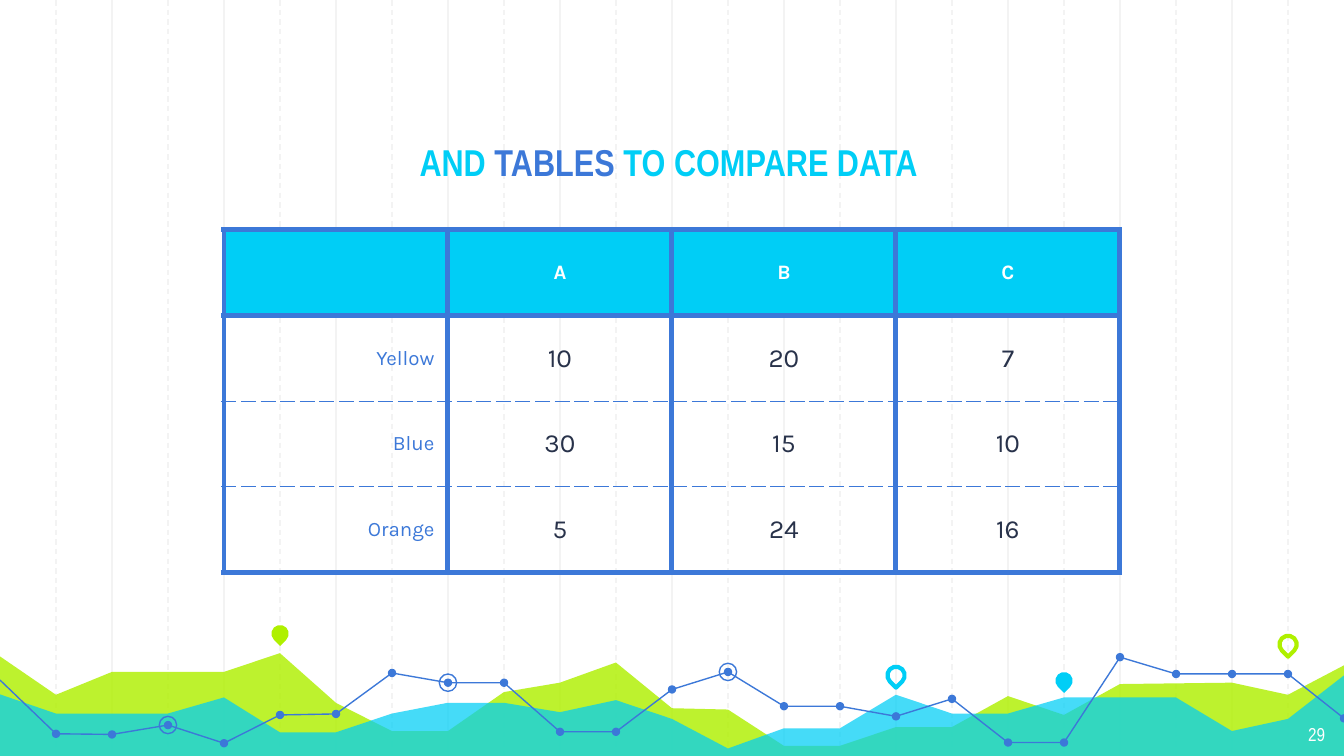
import pptx
import pptx.util
import pptx.dml.color
import pptx.enum.dml
import pptx.enum.shapes
import pptx.enum.text
import pptx.oxml
import pptx.oxml.ns
from lxml import etree

Pt = pptx.util.Pt
Inches = pptx.util.Inches
qn = pptx.oxml.ns.qn
Shape = pptx.enum.shapes.MSO_SHAPE
Align = pptx.enum.text.PP_ALIGN
Anchor = pptx.enum.text.MSO_ANCHOR
DASH = pptx.enum.dml.MSO_LINE.DASH

WIDE, HIGH = 10, 5.625
COLS, ROWS = 24, 45
HEX = {"white": "FFFFFF", "grid": "F3F3F3", "lime": "AFF000",
       "cyan": "00CEF6", "blue": "3C78D8", "ink": "28324A"}

# Column and row of each point
LIME = [(-.05, 38.96), (1, 41.36), (2, 40), (4, 40), (5, 38.88), (6, 41.84),
        (7, 43.52), (8, 43.52), (9, 41.2), (10, 40.64), (11, 39.44),
        (12, 42.16), (13, 42.24), (14, 44.4), (15, 44.4), (16, 43.28),
        (17, 43.28), (18, 41.44), (19, 42.56), (20, 40.72), (22, 40.64),
        (23, 41.36), (24.05, 39.52)]
CYAN = [(-.05, 41.28), (1, 42.48), (3, 42.48), (4, 41.52), (5, 43.6),
        (6, 43.6), (7, 42.48), (8, 41.84), (9, 41.84), (10, 42.4),
        (11, 41.68), (12, 42.8), (13, 44.56), (14, 43.36), (15, 43.36),
        (16, 41.36), (17, 42.48), (18, 42.48), (19, 41.52), (21, 41.52),
        (22, 43.52), (23, 42.8), (24.05, 40.08)]
TREND = list(enumerate([
    40.48, 43.68, 43.72, 43.16, 44.24, 42.56, 42.5, 40.06, 40.64, 40.64,
    43.56, 43.56, 41.04, 40, 42.04, 42.04, 42.64, 41.6, 44.2, 44.2,
    39.12, 40.12, 40.12, 40.12, 42.76]))
PINS = [(5, 37.72, "lime", True), (16, 40.2, "cyan", False),
        (19, 40.52, "cyan", True), (23, 38.36, "lime", False)]
DATA = [["", "A", "B", "C"], ["Yellow", "10", "20", "7"],
        ["Blue", "30", "15", "10"], ["Orange", "5", "24", "16"]]


def col(n):
    return Inches(n * WIDE / COLS)


def row(n):
    return Inches(n * HIGH / ROWS)


def rgb(name):
    return pptx.dml.color.RGBColor.from_string(HEX[name])


def write(para, text, size=11, face="Karla", color="blue", bold=False,
          align=Align.CENTER):
    para.alignment = align
    run = para.add_run()
    run.text = text
    font = run.font
    font.size, font.name, font.bold = Pt(size), face, bold
    font.color.rgb = rgb(color)


class Deck:
    def __init__(self):
        self.show = pptx.Presentation()
        self.show.slide_width = Inches(WIDE)
        self.show.slide_height = Inches(HIGH)
        self.slide = self.show.slides.add_slide(self.show.slide_layouts[5])
        self.shapes = self.slide.shapes

    def paint(self, shape, fill=None, line=None, width=0.75, alpha=None):
        shape.shadow.inherit = False
        if fill:
            shape.fill.solid()
            shape.fill.fore_color.rgb = rgb(fill)
        else:
            shape.fill.background()
        if alpha:
            tint = next(shape.element.spPr.iter(qn("a:srgbClr")))
            etree.SubElement(tint, qn("a:alpha"), val=str(alpha * 1000))
        if line:
            shape.line.color.rgb = rgb(line)
            shape.line.width = Pt(width)
        else:
            shape.line.fill.background()

    def rule(self, x, dash):
        line = self.shapes.add_connector(
            pptx.enum.shapes.MSO_CONNECTOR.STRAIGHT,
            col(x), 0, col(x), row(ROWS))
        line.line.color.rgb = rgb("grid")
        line.line.width = Pt(0.75)
        if dash:
            line.line.dash_style = DASH
        etree.SubElement(line.element.spPr, qn("a:effectLst"))

    def trace(self, points, close=False, **style):
        spots = [(col(x), row(y)) for x, y in points]
        pen = self.shapes.build_freeform(*spots[0], scale=1.0)
        pen.add_line_segments(spots[1:], close=close)
        self.paint(pen.convert_to_shape(), **style)

    def area(self, points, color, alpha):
        base = [(24.05, 45.15), (-.05, 45.15)]
        self.trace(points + base, close=True, fill=color, alpha=alpha)

    def mark(self, kind, x, y, size, turn=0, **style):
        side = col(size)
        shape = self.shapes.add_shape(
            kind, col(x) - side // 2, row(y) - side // 2, side, side)
        shape.rotation = turn
        self.paint(shape, **style)

    def frame(self, box, left, top, width, height, anchor):
        box.left, box.top = col(left), row(top)
        box.width, box.height = col(width), row(height)
        text = box.text_frame
        text.word_wrap = True
        text.auto_size = pptx.enum.text.MSO_AUTO_SIZE.NONE
        text.vertical_anchor = anchor
        text.margin_left = text.margin_right = Inches(0.1)
        text.margin_top = text.margin_bottom = Inches(0.1)
        return text.paragraphs[0]

    def title(self, parts):
        box = self.shapes.title
        self.shapes.element.append(box.element)  # in front of the backdrop
        para = self.frame(box, 2.76, 5.52, 18.36, 6.24, Anchor.BOTTOM)
        for text, color in parts:
            write(para, text, size=20, face="Arial Narrow", color=color,
                  bold=True)

    def number(self, text):
        box = self.shapes.add_textbox(0, 0, 0, 0)
        para = self.frame(box, 22.46, 42.24, 1.44, 2.8, Anchor.TOP)
        write(para, text, size=10, face="Arial Narrow", color="white",
              align=Align.RIGHT)

    def edge(self, cell, side, slot, thin):
        line = etree.Element(qn("a:ln" + side), w=str(Pt(0.75 if thin else 3)))
        fill = etree.SubElement(line, qn("a:solidFill"))
        etree.SubElement(fill, qn("a:srgbClr"), val=HEX["blue"])
        etree.SubElement(line, qn("a:prstDash"),
                         val="dash" if thin else "solid")
        cell._tc.get_or_add_tcPr().insert(slot, line)

    def table(self, data, left, top, width, height):
        rows, cols = len(data), len(data[0])
        grid = self.shapes.add_table(
            rows, cols, col(left), row(top),
            col(width * cols), row(height * rows)).table
        grid.first_row = grid.horz_banding = False
        for r, texts in enumerate(data):
            grid.rows[r].height = row(height)
            for c, text in enumerate(texts):
                cell = grid.cell(r, c)
                cell.vertical_anchor = Anchor.MIDDLE
                cell.margin_left = cell.margin_right = Inches(0.1)
                cell.margin_top = cell.margin_bottom = Inches(0.07)
                if r == 0:
                    cell.fill.solid()
                    cell.fill.fore_color.rgb = rgb("cyan")
                    style = {"color": "white", "bold": True}
                else:
                    cell.fill.background()
                    style = ({"size": 14, "color": "ink"} if c
                             else {"align": Align.RIGHT})
                if text:
                    write(cell.text_frame.paragraphs[0], text, **style)
                thins = {"T": r > 1, "B": 0 < r < rows - 1}
                for slot, side in enumerate("LRTB"):
                    self.edge(cell, side, slot, thins.get(side, False))


def main():
    deck = Deck()

    # Backdrop rules: solid on even columns, dashed on odd ones
    for first, dash in ((2, False), (1, True)):
        for x in range(first, COLS, 2):
            deck.rule(x, dash)

    # Areas, pins and trend line
    deck.area(LIME, "lime", 82)
    deck.area(CYAN, "cyan", 73)
    for x, y, color, full in PINS:
        style = {"fill": color} if full else {"line": color, "width": 2.25}
        deck.mark(Shape.TEAR, x, y, 0.31, turn=135, **style)
    for start, end in ((0, 11), (11, 20), (20, 24)):
        deck.trace(TREND[start:end + 1], line="blue")
    for x, y in TREND[1:]:
        deck.mark(Shape.OVAL, x, y, 0.15, fill="blue")
    for x, y in (TREND[3], TREND[8], TREND[13]):
        deck.mark(Shape.OVAL, x, y, 0.31, line="blue")

    # Title, table and page number
    deck.title([("AND ", "cyan"), ("TABLES", "blue"),
                (" TO COMPARE DATA", "cyan")])
    deck.table(DATA, 4, 13.68, 4, 5.1)
    deck.number("29")
    deck.show.save("out.pptx")


if __name__ == "__main__":
    main()
